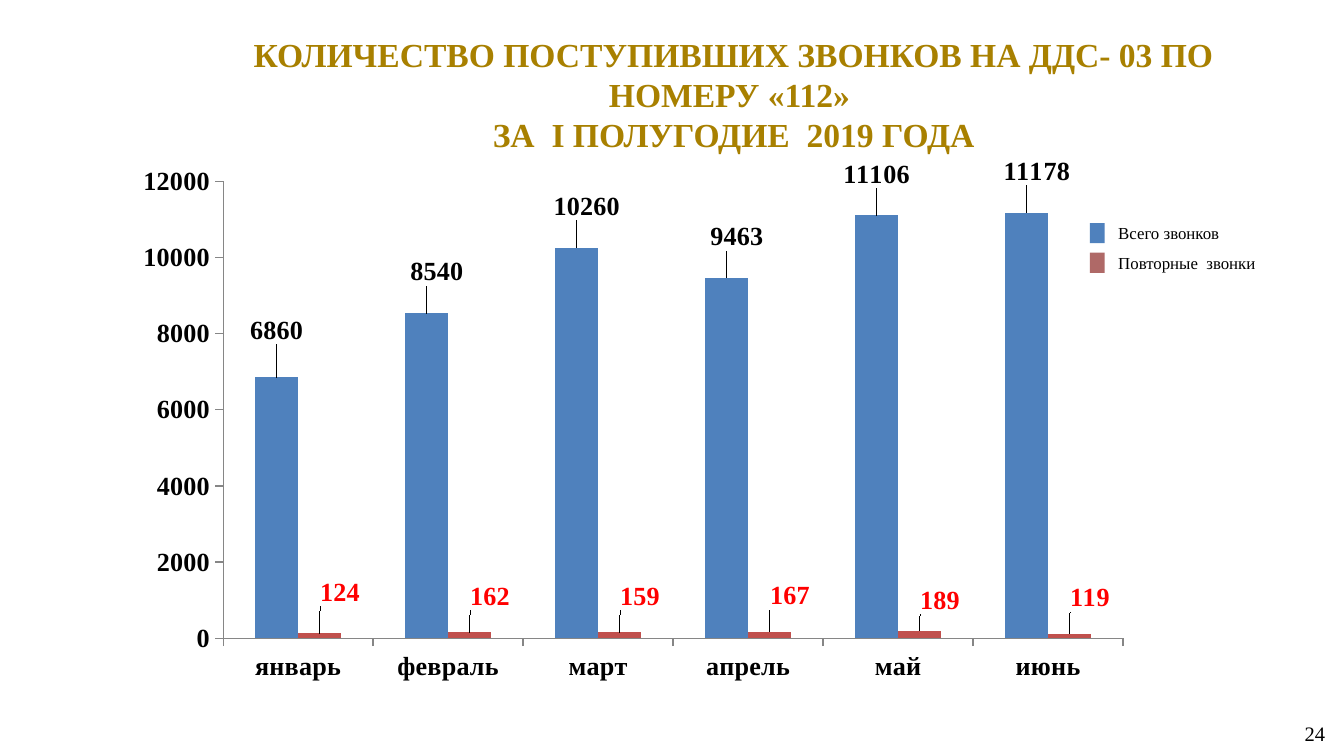
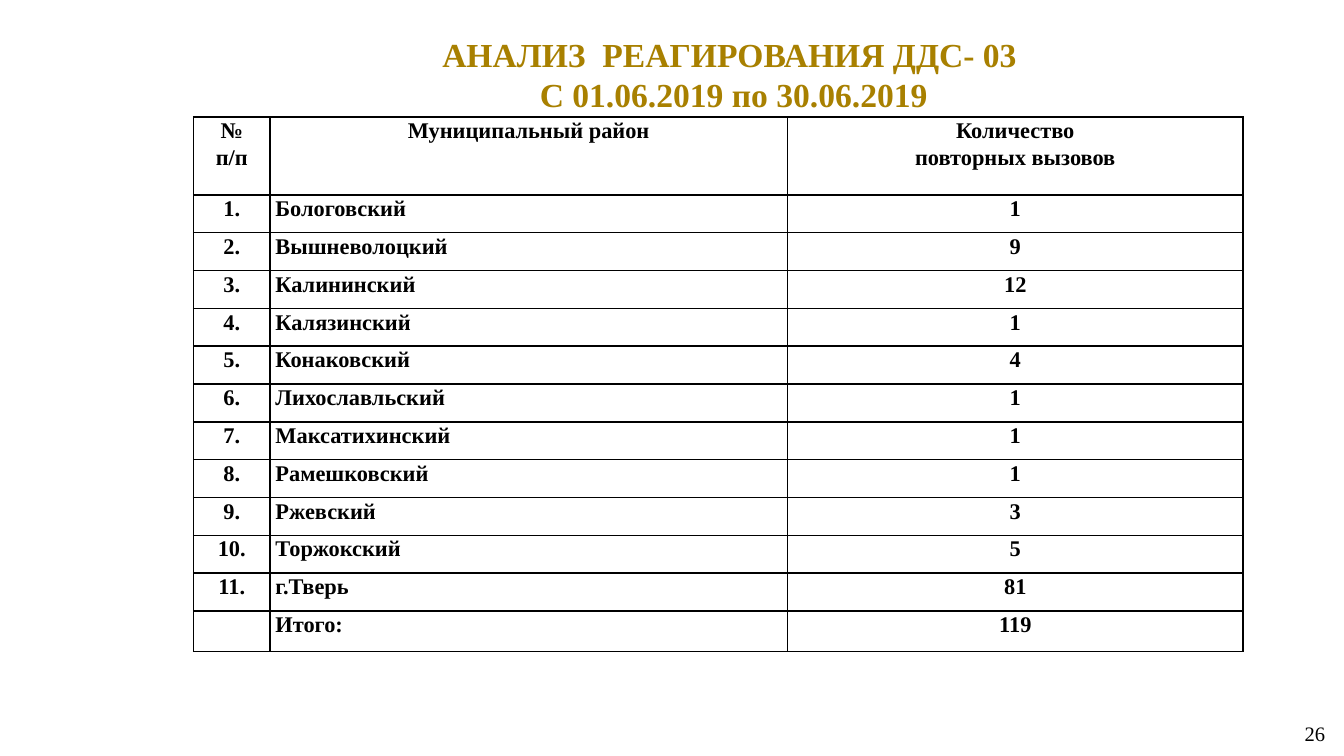
from lxml.etree import SubElement
from pptx import Presentation
from pptx.chart.data import CategoryChartData
from pptx.dml.color import RGBColor
from pptx.enum.chart import XL_CHART_TYPE, XL_LABEL_POSITION, XL_TICK_MARK
from pptx.enum.shapes import MSO_SHAPE
from pptx.enum.text import MSO_ANCHOR, MSO_AUTO_SIZE, PP_ALIGN
from pptx.oxml import parse_xml
from pptx.oxml.ns import nsdecls, qn
from pptx.util import Inches, Pt

FONT = "Times New Roman"
GOLD = RGBColor(0xA8, 0x80, 0x00)
BLACK = RGBColor(0, 0, 0)
RED = RGBColor(0xFF, 0, 0)
GRAY = RGBColor(0x86, 0x86, 0x86)
BLUE = RGBColor(0x4F, 0x81, 0xBD)
BRICK = RGBColor(0xC0, 0x50, 0x4D)
WINE = RGBColor(0x95, 0x37, 0x35)


def style(font, size, color=BLACK, bold=False):
    font.name = FONT
    font.size = Pt(size)
    font.bold = bold
    font.color.rgb = color


def write(frame, text, size, color=BLACK, bold=False, align=PP_ALIGN.LEFT,
          anchor=MSO_ANCHOR.MIDDLE):
    frame.text = text
    frame.word_wrap = True
    frame.vertical_anchor = anchor
    frame.margin_left = frame.margin_right = Inches(0.07)
    frame.margin_top = frame.margin_bottom = Inches(0.04)
    for para in frame.paragraphs:
        para.alignment = align
        for run in para.runs:
            style(run.font, size, color, bold)


# A 16:9 page
deck = Presentation()
deck.slide_width = Inches(10)
deck.slide_height = Inches(10 * 9 / 16)

# Titles and page numbers
pages = [
    ("КОЛИЧЕСТВО ПОСТУПИВШИХ ЗВОНКОВ НА ДДС- 03 ПО НОМЕРУ «112» \n"
     "ЗА  I ПОЛУГОДИЕ  2019 ГОДА", 0.98, "24"),
    ("АНАЛИЗ  РЕАГИРОВАНИЯ ДДС- 03 \nС 01.06.2019 по 30.06.2019", 0.68, "26"),
]
slides = []
for text, height, number in pages:
    slide = deck.slides.add_slide(deck.slide_layouts[5])
    title = slide.shapes.title
    title.left, title.top = Inches(1.36), Inches(0.21)
    title.width, title.height = Inches(8.2), Inches(height)
    write(title.text_frame, text, 18, GOLD, True, PP_ALIGN.CENTER,
          MSO_ANCHOR.TOP)
    title.text_frame.auto_size = MSO_AUTO_SIZE.SHAPE_TO_FIT_TEXT
    page = slide.shapes.add_textbox(Inches(7.68), Inches(5.31),
                                    Inches(2.25), Inches(0.3))
    write(page.text_frame, number, 11, align=PP_ALIGN.RIGHT)
    slides.append(slide)
calls, review = slides

# Legend of the call chart
legend = [("Всего звонков", BLUE, 1.66, 100),
          ("Повторные  звонки", WINE, 1.88, 75)]
for text, color, top, alpha in legend:
    mark = calls.shapes.add_shape(MSO_SHAPE.RECTANGLE, Inches(8.11),
                                  Inches(top), Inches(0.11), Inches(0.15))
    mark.shadow.inherit = False
    mark.line.fill.background()
    mark.fill.solid()
    mark.fill.fore_color.rgb = color
    if alpha < 100:
        tint = next(mark.fill._xPr.iter(qn("a:srgbClr")))
        SubElement(tint, qn("a:alpha"), val=str(alpha * 1000))
    label = calls.shapes.add_textbox(Inches(8.25), Inches(top - 0.09),
                                     Inches(1.39), Inches(0.33))
    write(label.text_frame, text, 9)

# Call chart
data = CategoryChartData()
data.categories = ["январь", "февраль", "март", "апрель", "май", "июнь"]
data.add_series("Series 1", (6860, 8540, 10260, 9463, 11106, 11178))
data.add_series("Series 2", (124, 162, 159, 167, 189, 119))
chart = calls.shapes.add_chart(
    XL_CHART_TYPE.COLUMN_CLUSTERED, Inches(0.9), Inches(1.15),
    Inches(7.61), Inches(4), data).chart
chart.has_legend = False
chart.has_title = False
style(chart.font, 10)
chart.font.name = "Calibri"
chart._chartSpace.find(qn("c:chart")).addnext(parse_xml(
    f'<c:spPr {nsdecls("c", "a")}><a:noFill/><a:ln><a:noFill/></a:ln></c:spPr>'))

for axis in (chart.category_axis, chart.value_axis):
    axis.has_major_gridlines = False
    axis.major_tick_mark = XL_TICK_MARK.OUTSIDE
    axis.minor_tick_mark = XL_TICK_MARK.NONE
    axis.format.line.color.rgb = GRAY
    style(axis.tick_labels.font, 14, bold=True)
chart.value_axis.minimum_scale = 0
chart.value_axis.maximum_scale = 12000
chart.value_axis.major_unit = 2000

plot = chart.plots[0]
plot.gap_width = 150
plot.overlap = 0
plot.vary_by_categories = False

# Labels, each moved by a share of the chart's size, without leader lines
moves = [
    [(0, -0.05), (0.01, -0.04), (0.01, -0.04),
     (0.01, -0.04), (0, -0.04), (0.01, -0.04)],
    [(0.02, -0.04), (0.02, -0.03), (0.02, -0.03),
     (0.02, -0.03), (0.02, -0.02), (0.02, -0.03)],
]
for series, color, ink, shifts in zip(plot.series, (BLUE, BRICK),
                                      (BLACK, RED), moves):
    series.format.fill.solid()
    series.format.fill.fore_color.rgb = color
    labels = series.data_labels
    labels.show_value = True
    style(labels.font, 14, ink, True)
    for i in range(len(shifts)):
        label = series.points[i].data_label
        style(label.font, 14, ink, True)
        label.position = XL_LABEL_POSITION.OUTSIDE_END
    for node, (x, y) in zip(labels._element.findall(qn("c:dLbl")), shifts):
        node.find(qn("c:idx")).addnext(parse_xml(
            f'<c:layout {nsdecls("c")}><c:manualLayout><c:x val="{x}"/>'
            f'<c:y val="{y}"/></c:manualLayout></c:layout>'))
    labels._element.append(parse_xml(
        f'<c:extLst {nsdecls("c")}>'
        '<c:ext uri="{CE6537A1-D6FC-4f65-9D91-7224C49458BB}" xmlns:c15='
        '"http://schemas.microsoft.com/office/drawing/2012/chart">'
        '<c15:showLeaderLines val="0"/></c:ext></c:extLst>'))

# Plot area
area = chart._chartSpace.find(".//" + qn("c:plotArea"))
for old in area.findall(qn("c:layout")):
    area.remove(old)
area.insert(0, parse_xml(
    f'<c:layout {nsdecls("c")}><c:manualLayout><c:layoutTarget val="inner"/>'
    '<c:xMode val="edge"/><c:yMode val="edge"/><c:x val="0.1"/>'
    '<c:y val="0.05"/><c:w val="0.88"/><c:h val="0.85"/>'
    '</c:manualLayout></c:layout>'))

# Table of repeated calls
towns = [("Бологовский", 1), ("Вышневолоцкий", 9), ("Калининский", 12),
         ("Калязинский", 1), ("Конаковский", 4), ("Лихославльский", 1),
         ("Максатихинский", 1), ("Рамешковский", 1), ("Ржевский", 3),
         ("Торжокский", 5), ("г.Тверь", 81)]
rows = [("№\vп/п", "Муниципальный район", "Количество\nповторных вызовов")]
rows += [(f"{i}.", town, str(count))
         for i, (town, count) in enumerate(towns, 1)]
rows.append(("", "Итого:", "119"))
heights = [0.58] + [3.1 / len(towns)] * len(towns) + [0.3]

table = review.shapes.add_table(len(rows), 3, Inches(1.44), Inches(0.87),
                                Inches(7.81), Inches(3.98)).table
table.first_row = table.horz_banding = False
for column, width in zip(table.columns, (0.57, 3.85, 3.39)):
    column.width = Inches(width)
for r, row in enumerate(rows):
    table.rows[r].height = Inches(heights[r])
    for c, text in enumerate(row):
        cell = table.cell(r, c)
        left = c == 1 and r > 0
        write(cell.text_frame, text, 12, bold=True,
              align=PP_ALIGN.LEFT if left else PP_ALIGN.CENTER)
        cell.margin_left = cell.margin_right = Inches(0.04)
        cell.margin_top = cell.margin_bottom = 0
        cell.vertical_anchor = MSO_ANCHOR.TOP
        for para in cell.text_frame.paragraphs:
            para.line_spacing = 1.07
            if not text:
                SubElement(para._p, qn("a:endParaRPr"), sz="1200")
        props = cell._tc.get_or_add_tcPr()
        for side in ("lnL", "lnR", "lnT", "lnB"):
            line = SubElement(props, qn(f"a:{side}"), w=str(Pt(1)))
            fill = SubElement(line, qn("a:solidFill"))
            SubElement(fill, qn("a:srgbClr"), val=str(BLACK))
        cell.fill.background()

deck.save("out.pptx")
